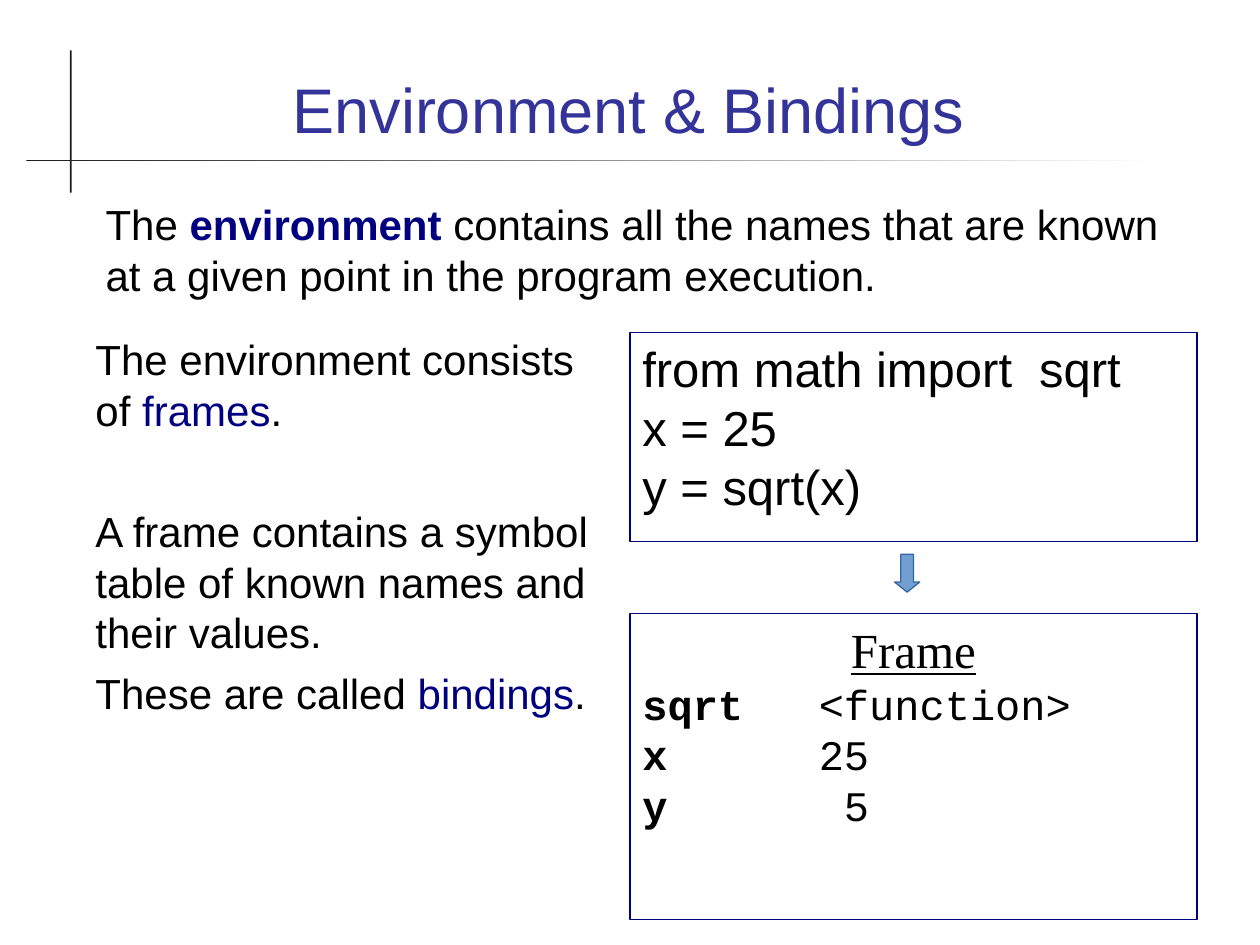
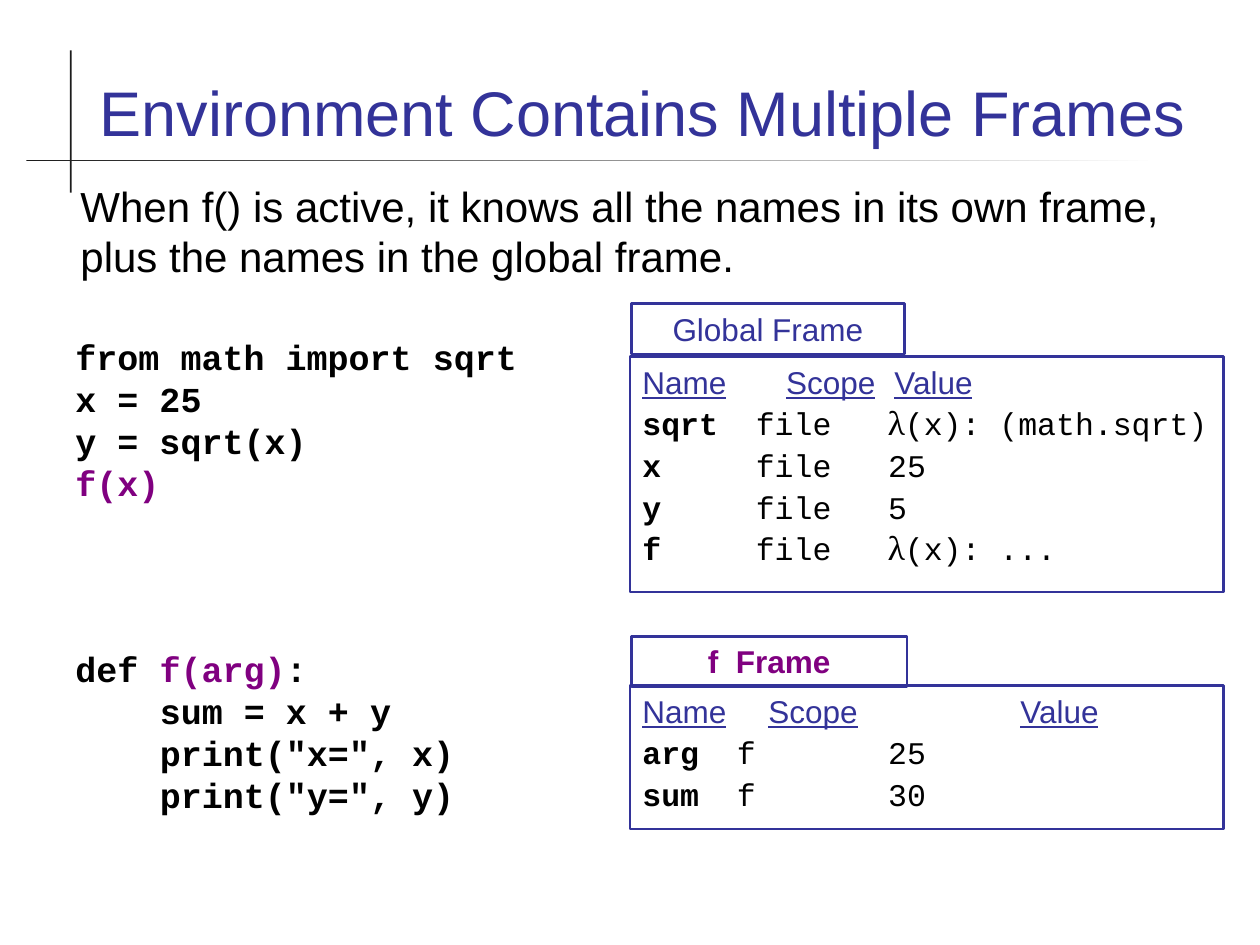
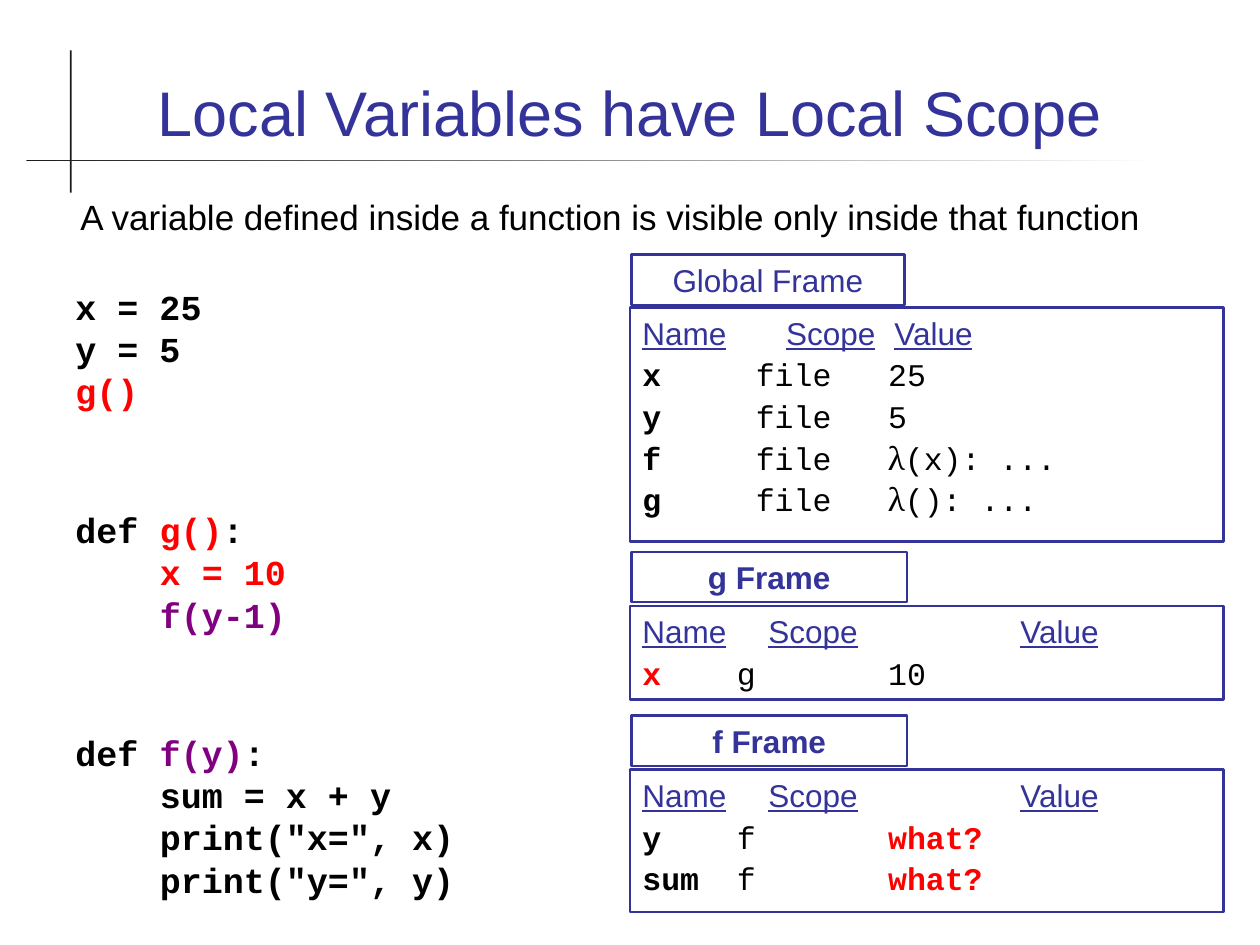
from dataclasses import dataclass
from typing import NamedTuple

from lxml.etree import SubElement
from pptx import Presentation
from pptx.dml.color import RGBColor
from pptx.enum.shapes import MSO_SHAPE as Shape
from pptx.enum.text import MSO_ANCHOR as Anchor, PP_ALIGN as Align
from pptx.oxml.ns import qn
from pptx.util import Inches, Pt

COLORS = {"ink": "000000", "rule": "1C1C1C", "paper": "FFFFFF", "title": "333399",
          "navy": "000080", "purple": "800080", "red": "FF0000",
          "arrow": "729FCF", "arrow_edge": "3465A4"}
SANS, SERIF, MONO, GREEK = "Arial", "Times New Roman", "Courier New", "Cambria"
COLS, ROWS = 100, 75
LEADING = 1.2
CODE_INDENT = 0.67


class Area(NamedTuple):
    """Left, top, width and height in grid columns and rows."""
    col: float
    row: float
    cols: float
    rows: float


class Run(NamedTuple):
    """A stretch of text in one format."""
    text: str
    color: str = "ink"
    bold: bool = False
    underline: bool = False
    face: str = ""


@dataclass
class Line:
    """One paragraph; indent and tab stops are inches, before is points."""
    runs: list[Run]
    face: str = SANS
    size: float = 24
    align: Align = Align.LEFT
    before: float = 0
    indent: float = 0
    stops: tuple[float, ...] = ()
    leading: bool = True


@dataclass
class Frame:
    """A symbol table with its name tab."""
    title: Run
    tab_row: float
    row: float
    rows: float
    bindings: list[list[Run]]
    local: bool = True


prs = Presentation()
prs.slide_width, prs.slide_height = Inches(10), Inches(7.5)


def rgb(name: str) -> RGBColor:
    """Look up a colour."""
    return RGBColor.from_string(COLORS[name])


def place(area: Area) -> tuple[int, int, int, int]:
    """Turn grid units into slide lengths."""
    dx, dy = prs.slide_width / COLS, prs.slide_height / ROWS
    return (round(area.col * dx), round(area.row * dy),
            round(area.cols * dx), round(area.rows * dy))


def write_line(p, line: Line) -> None:
    """Fill one paragraph."""
    p.alignment, p.space_before = line.align, Pt(line.before)
    if line.leading:
        p.line_spacing = Pt(line.size * LEADING)
    pPr = p._p.get_or_add_pPr()
    if line.indent:
        pPr.set("marL", str(Inches(line.indent)))
    if line.stops:
        tabs = SubElement(pPr, qn("a:tabLst"))
        for stop in line.stops:
            SubElement(tabs, qn("a:tab"), pos=str(Inches(stop)), algn="l")
    for run in line.runs:
        r = p.add_run()
        r.text = run.text
        r.font.name, r.font.size = run.face or line.face, Pt(line.size)
        r.font.bold, r.font.underline = run.bold, run.underline
        r.font.color.rgb = rgb(run.color)


def write(sp, lines: list[Line], wrap: bool = True, anchor: Anchor = Anchor.TOP) -> None:
    """Fill a shape with paragraphs."""
    tf = sp.text_frame
    tf.word_wrap, tf.vertical_anchor = wrap, anchor
    for i, line in enumerate(lines):
        write_line(tf.add_paragraph() if i else tf.paragraphs[0], line)


def add_text(s, area: Area, lines: list[Line], anchor: Anchor = Anchor.TOP) -> None:
    """Add a text box."""
    write(s.shapes.add_textbox(*place(area)), lines, anchor=anchor)


def add_shape(s, kind: Shape, area: Area, fill: str = "", edge: str = "", weight: float = 0.75):
    """Add a flat shape."""
    sp = s.shapes.add_shape(kind, *place(area))
    sp.shadow.inherit = False
    if fill:
        sp.fill.solid()
        sp.fill.fore_color.rgb = rgb(fill)
    else:
        sp.fill.background()
    if edge:
        sp.line.color.rgb, sp.line.width = rgb(edge), Pt(weight)
    else:
        sp.line.fill.background()
    return sp


def add_slide(title: str, area: Area):
    """Start a slide with the crossed rules and a title."""
    s = prs.slides.add_slide(prs.slide_layouts[6])
    add_shape(s, Shape.RECTANGLE, Area(5.56, 4, 0.14, 11.3), "rule")
    fill = add_shape(s, Shape.RECTANGLE, Area(2.1, 12.7, 89.8, 0.08), "rule").fill
    fill.gradient()
    fill.gradient_angle = 0
    for stop, (name, position) in zip(fill.gradient_stops, (("rule", 0), ("paper", 1))):
        stop.color.rgb, stop.position = rgb(name), position
    add_text(s, area, [Line([Run(title, "title")], size=36, align=Align.CENTER, leading=False)],
             Anchor.BOTTOM)
    return s


def code(*runs: Run, indent: float = 0) -> Line:
    """Make a bold line of code."""
    return Line([r._replace(bold=True) for r in runs], MONO, 20, indent=indent)


def tabbed(cells: list[Run]) -> list[Run]:
    """Join cells with tabs and set each lambda in its own face."""
    runs = []
    for i, cell in enumerate(cells):
        if i:
            runs.append(Run("\t"))
        if cell.text.startswith("λ"):
            runs += [cell._replace(text="λ", face=GREEK), cell._replace(text=cell.text[1:])]
        else:
            runs.append(cell)
    return runs


def binding(name: str, scope: str, value: str, name_color: str = "ink",
            stress: bool = False) -> list[Run]:
    """Make one row of a frame."""
    return [Run(name, name_color, True), Run(scope),
            Run(value, "red" if stress else "ink", stress)]


def add_frame(s, frame: Frame) -> None:
    """Draw a symbol table and its tab."""
    heads = [Run(t, "title", underline=True) for t in ("Name", "Scope", "Value")]
    lines = [Line(tabbed(heads), size=18, stops=(1, 3) if frame.local else (1.14, 2))]
    lines += [Line(tabbed(b), MONO, 18, before=2.2, stops=(0.75 if frame.local else 0.9, 1.95))
              for b in frame.bindings]
    table = Area(50, frame.row, 47.1, frame.rows)
    write(add_shape(s, Shape.RECTANGLE, table, edge="title", weight=1.5), lines)
    tab = Area(50.1, frame.tab_row, 21.9 if frame.local else 21.7, 4)
    write(add_shape(s, Shape.RECTANGLE, tab, edge="title", weight=1.5),
          [Line([frame.title], size=18, align=Align.CENTER)], wrap=False)


def function_f(argument: str) -> list[Line]:
    """List the code of function f."""
    body = ("sum = x + y", 'print("x=", x)', 'print("y=", y)')
    return [code(Run("def "), Run(f"f({argument})", "purple"), Run(":")),
            *(code(Run(t), indent=CODE_INDENT) for t in body)]


def environment_slide() -> None:
    """Build the slide on environment and bindings."""
    s = add_slide("Environment & Bindings", Area(6.7, 2.8, 86.4, 9.3))
    add_text(s, Area(7.4, 15.3, 86.4, 11.7), [Line([
        Run("The "), Run("environment", "navy", True),
        Run(" contains all the names that are known at a given point in the program execution.")])])
    add_text(s, Area(6.6, 26, 41.4, 39), [
        Line([Run("The environment consists of "), Run("frames", "navy"), Run(".")]),
        Line([Run("A frame contains a symbol table of known names and their values.")], before=40.8),
        Line([Run("These are called "), Run("bindings", "navy"), Run(".")], before=6)])
    write(add_shape(s, Shape.RECTANGLE, Area(50, 26.4, 45, 16.6), edge="navy"),
          [Line([Run(t)], size=28) for t in ("from math import  sqrt", "x = 25", "y = sqrt(x)")])
    symbols = (("sqrt", "<function>", 1.4), ("x", "25", 1.4), ("y", "5", 1.6))
    write(add_shape(s, Shape.RECTANGLE, Area(50, 48.7, 45, 24.3), edge="navy"), [
        Line([Run("Frame", underline=True)], SERIF, 28, Align.CENTER),
        *(Line(tabbed([Run(name, bold=True), Run(value)]), MONO, stops=(stop,))
          for name, value, stop in symbols)])
    arrow = add_shape(s, Shape.DOWN_ARROW, Area(71, 44, 2, 3), "arrow", "arrow_edge")
    arrow.adjustments[1] = 0.4


def multiple_frames_slide() -> None:
    """Build the slide on multiple frames."""
    s = add_slide("Environment Contains Multiple Frames", Area(6, 2.8, 90, 9.5))
    add_text(s, Area(5.4, 13.8, 89.2, 13.3), [Line([Run(
        "When f() is active, it knows all the names in its own frame, "
        "plus the names in the global frame.")])])
    add_text(s, Area(5, 26.1, 39.2, 17.9), [
        *(code(Run(t)) for t in ("from math import sqrt", "x = 25", "y = sqrt(x)")),
        code(Run("f(x)", "purple"))])
    add_text(s, Area(5, 50.9, 42.5, 14.1), function_f("arg"))
    add_frame(s, Frame(Run("Global Frame", "title"), 24.1, 28.3, 18.7, [
        binding("sqrt", "file", "λ(x): (math.sqrt)"), binding("x", "file", "25"),
        binding("y", "file", "5"), binding("f", "file", "λ(x): ...")], local=False))
    add_frame(s, Frame(Run("f  Frame", "purple", True), 50.5, 54.4, 11.4, [
        binding("arg", "f", "25"), binding("sum", "f", "30")]))


def local_scope_slide() -> None:
    """Build the slide on local scope."""
    s = add_slide("Local Variables have Local Scope", Area(6.7, 2.8, 86.6, 9.5))
    add_text(s, Area(5.4, 15, 89.2, 13.3), [Line([Run(
        "A variable defined inside a function is visible only inside that function")], size=20)])
    add_text(s, Area(5, 22.2, 39.2, 17.9), [
        code(Run("x = 25")), code(Run("y = 5")), code(Run("g()", "red"))])
    add_text(s, Area(5, 39.9, 42.5, 14.1), [
        code(Run("def "), Run("g()", "red"), Run(":")),
        code(Run("x = 10", "red"), indent=CODE_INDENT),
        code(Run("f(y-1)", "purple"), indent=CODE_INDENT)])
    add_text(s, Area(5, 57.6, 42.5, 14.1), function_f("y"))
    add_frame(s, Frame(Run("Global Frame", "title"), 20.2, 24.4, 18.6, [
        binding("x", "file", "25"), binding("y", "file", "5"),
        binding("f", "file", "λ(x): ..."), binding("g", "file", "λ(): ...")], local=False))
    add_frame(s, Frame(Run("g Frame", "title", True), 43.8, 48.1, 7.4, [
        binding("x", "g", "10", "red")]))
    add_frame(s, Frame(Run("f Frame", "title", True), 56.8, 61.1, 11.3, [
        binding(name, "f", "what?", stress=True) for name in ("y", "sum")]))


environment_slide()
multiple_frames_slide()
local_scope_slide()
prs.save("out.pptx")
